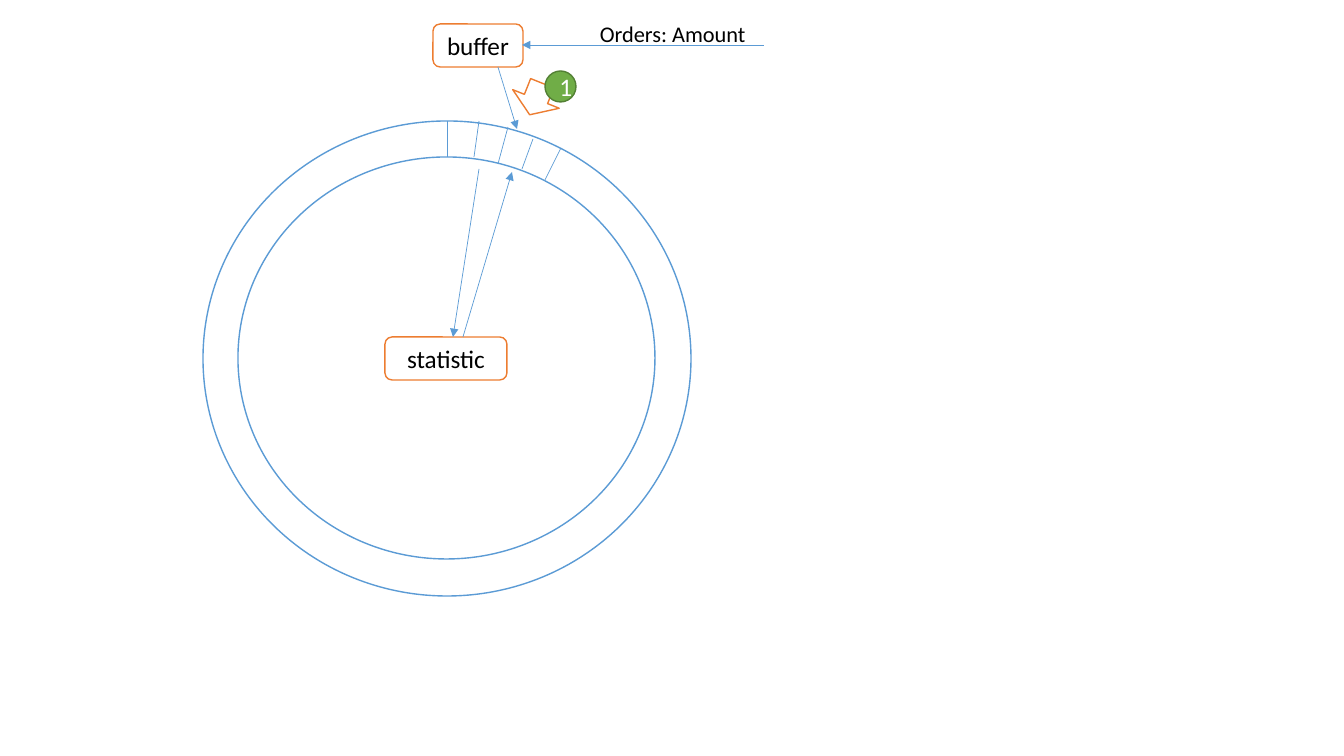
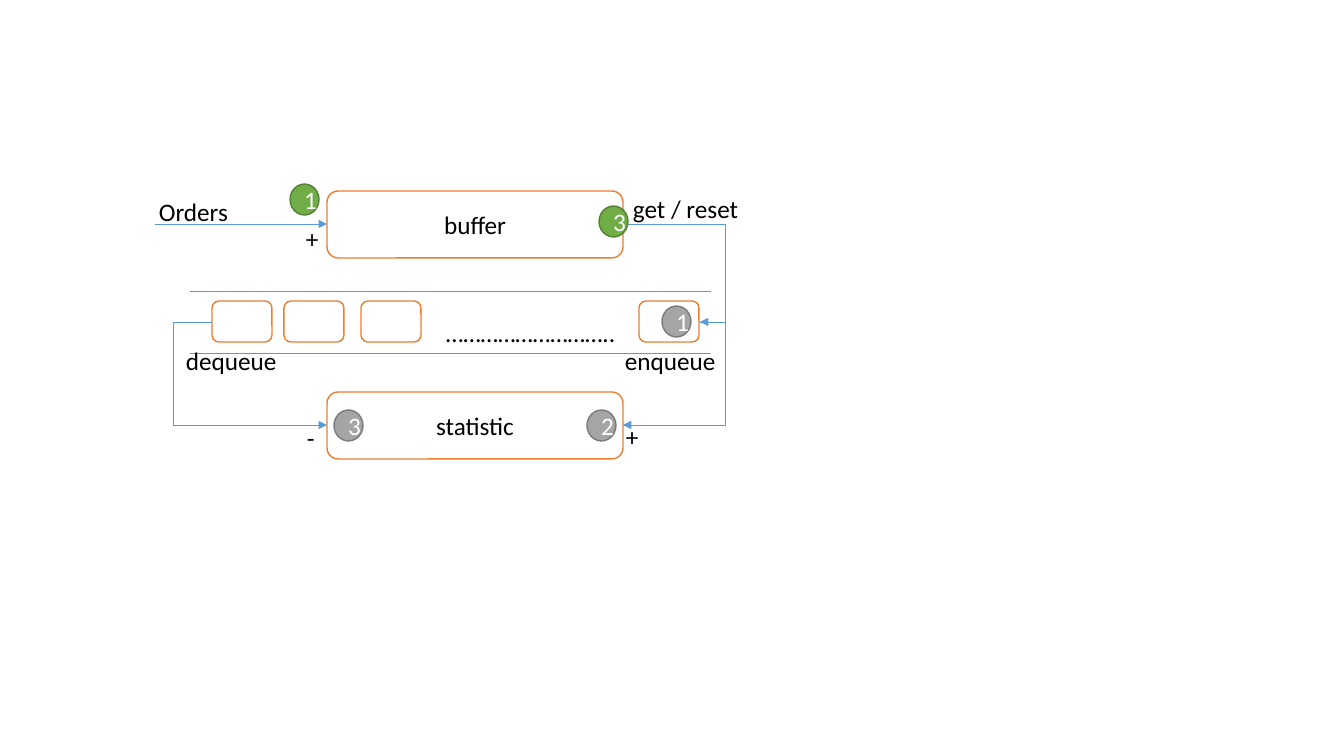
import lxml.etree
import pptx
import pptx.dml.color
import pptx.enum.shapes
import pptx.enum.text
import pptx.oxml.ns
import pptx.util

RGBColor = pptx.dml.color.RGBColor
SHAPE = pptx.enum.shapes.MSO_SHAPE
CONNECTOR = pptx.enum.shapes.MSO_CONNECTOR
qn = pptx.oxml.ns.qn

# Shared style
WHITE = RGBColor(0xFF, 0xFF, 0xFF)
BLACK = RGBColor(0x00, 0x00, 0x00)
BLUE = RGBColor(0x5B, 0x9B, 0xD5)
ORANGE = RGBColor(0xED, 0x7D, 0x31)
GREEN = RGBColor(0x70, 0xAD, 0x47)
DARK_GREEN = RGBColor(0x53, 0x80, 0x35)
GRAY = RGBColor(0xA5, 0xA5, 0xA5)
DARK_GRAY = RGBColor(0x7A, 0x7A, 0x7A)
FONT = "Calibri"
PIXELS_PER_INCH = 100.8


def px(pixels):
    return pptx.util.Inches(pixels / PIXELS_PER_INCH)


def add_run(paragraph, text, size=18, color=BLACK):
    run = paragraph.add_run()
    run.text = text
    run.font.name = FONT
    run.font.size = pptx.util.Pt(size)
    run.font.color.rgb = color


def add_figure(slide, kind, left, top, width, height, line,
               fill=WHITE, text="", color=BLACK):
    shape = slide.shapes.add_shape(kind, px(left), px(top), px(width), px(height))
    shape.shadow.inherit = False
    shape.fill.solid()
    shape.fill.fore_color.rgb = fill
    shape.line.color.rgb = line
    shape.line.width = pptx.util.Pt(1)
    if text:
        shape.text_frame.vertical_anchor = pptx.enum.text.MSO_ANCHOR.MIDDLE
        paragraph = shape.text_frame.paragraphs[0]
        paragraph.alignment = pptx.enum.text.PP_ALIGN.CENTER
        add_run(paragraph, text, color=color)
    return shape


def add_box(slide, left, top, width, height, text=""):
    add_figure(slide, SHAPE.ROUNDED_RECTANGLE, left, top, width, height, ORANGE, text=text)


def add_badge(slide, left, top, number, fill, line, width=29):
    add_figure(slide, SHAPE.OVAL, left, top, width, 31, line, fill, number, WHITE)


def add_label(slide, left, top, width, text, size=18, height=40):
    label = slide.shapes.add_textbox(px(left), px(top), px(width), px(height))
    label.text_frame.word_wrap = False
    label.text_frame.auto_size = pptx.enum.text.MSO_AUTO_SIZE.SHAPE_TO_FIT_TEXT
    add_run(label.text_frame.paragraphs[0], text, size)


def add_line(slide, start, end, arrow=False, via_x=None):
    """Straight line, or an elbow whose middle leg runs at via_x."""
    kind = CONNECTOR.STRAIGHT if via_x is None else CONNECTOR.ELBOW
    line = slide.shapes.add_connector(kind, px(start[0]), px(start[1]), px(end[0]), px(end[1]))
    line.line.color.rgb = BLUE
    line.line.width = pptx.util.Pt(0.5)
    properties = line._element.spPr
    if arrow:
        lxml.etree.SubElement(properties.find(qn("a:ln")), qn("a:tailEnd"), type="triangle")
    lxml.etree.SubElement(properties, qn("a:effectLst"))
    if via_x is not None:
        adjust = round((via_x - start[0]) / (end[0] - start[0]) * 100000)
        values = properties.find(qn("a:prstGeom")).get_or_add_avLst()
        lxml.etree.SubElement(values, qn("a:gd"), name="adj1", fmla=f"val {adjust}")


def build_ring_slide(slide):
    # Ring and its slot dividers
    add_figure(slide, SHAPE.OVAL, 203, 121, 488, 475, BLUE)
    add_figure(slide, SHAPE.OVAL, 238, 157, 417, 402, BLUE)
    for outer, inner in (((447, 121), (447, 157)), ((479, 121), (474, 157)),
                         ((508, 127), (498, 164)), ((533, 139), (522, 169)),
                         ((561, 148), (545, 180))):
        add_line(slide, outer, inner)

    # Buffer, statistic and the turning direction
    add_box(slide, 433, 24, 90, 43, "buffer")
    add_box(slide, 385, 337, 122, 43, "statistic")
    direction = add_figure(slide, SHAPE.DOWN_ARROW, 511, 82, 50, 34, ORANGE)
    direction.rotation = 21.8

    # Data flow
    for start, end in (((764, 45), (522, 45)), ((479, 169), (453, 337)),
                       ((463, 337), (512, 172)), ((498, 67), (517, 129))):
        add_line(slide, start, end, arrow=True)
    add_label(slide, 590, 15, 168, "Orders: Amount", size=16, height=37)
    add_badge(slide, 545, 71, "1", GREEN, DARK_GREEN, width=31)


def build_queue_slide(slide):
    # Buffer and statistic
    for top, name in ((191, "buffer"), (392, "statistic")):
        add_box(slide, 327, top, 296, 67, name)

    # Queue between two rules
    for y in (291, 353):
        add_line(slide, (190, y), (711, y))
    for left in (212, 284, 361, 639):
        add_box(slide, left, 301, 60, 41)
    add_label(slide, 436, 312, 191, "…" * 9 + "..")

    # Data flow
    for start, end, via_x in (((623, 224), (700, 322), 725),
                              ((700, 322), (623, 425), 725),
                              ((212, 322), (327, 425), 173),
                              ((155, 224), (327, 224), None)):
        add_line(slide, start, end, arrow=True, via_x=via_x)

    # Step numbers
    for left, top, number in ((290, 184, "1"), (599, 206, "3")):
        add_badge(slide, left, top, number, GREEN, DARK_GREEN)
    for left, top, number in ((662, 306, "1"), (587, 410, "2"), (334, 410, "3")):
        add_badge(slide, left, top, number, GRAY, DARK_GRAY)

    # Labels
    for left, top, width, text in ((149, 191, 90, "Orders"), (296, 218, 33, "+"),
                                   (616, 416, 33, "+"), (297, 417, 28, "-"),
                                   (615, 340, 112, "enqueue"), (176, 340, 112, "dequeue"),
                                   (623, 188, 127, "get / reset")):
        add_label(slide, left, top, width, text)


def main():
    presentation = pptx.Presentation()
    presentation.slide_width = px(1344)
    presentation.slide_height = px(756)
    blank_layout = presentation.slide_layouts[6]
    for build in (build_ring_slide, build_queue_slide):
        build(presentation.slides.add_slide(blank_layout))
    presentation.save("out.pptx")


main()
